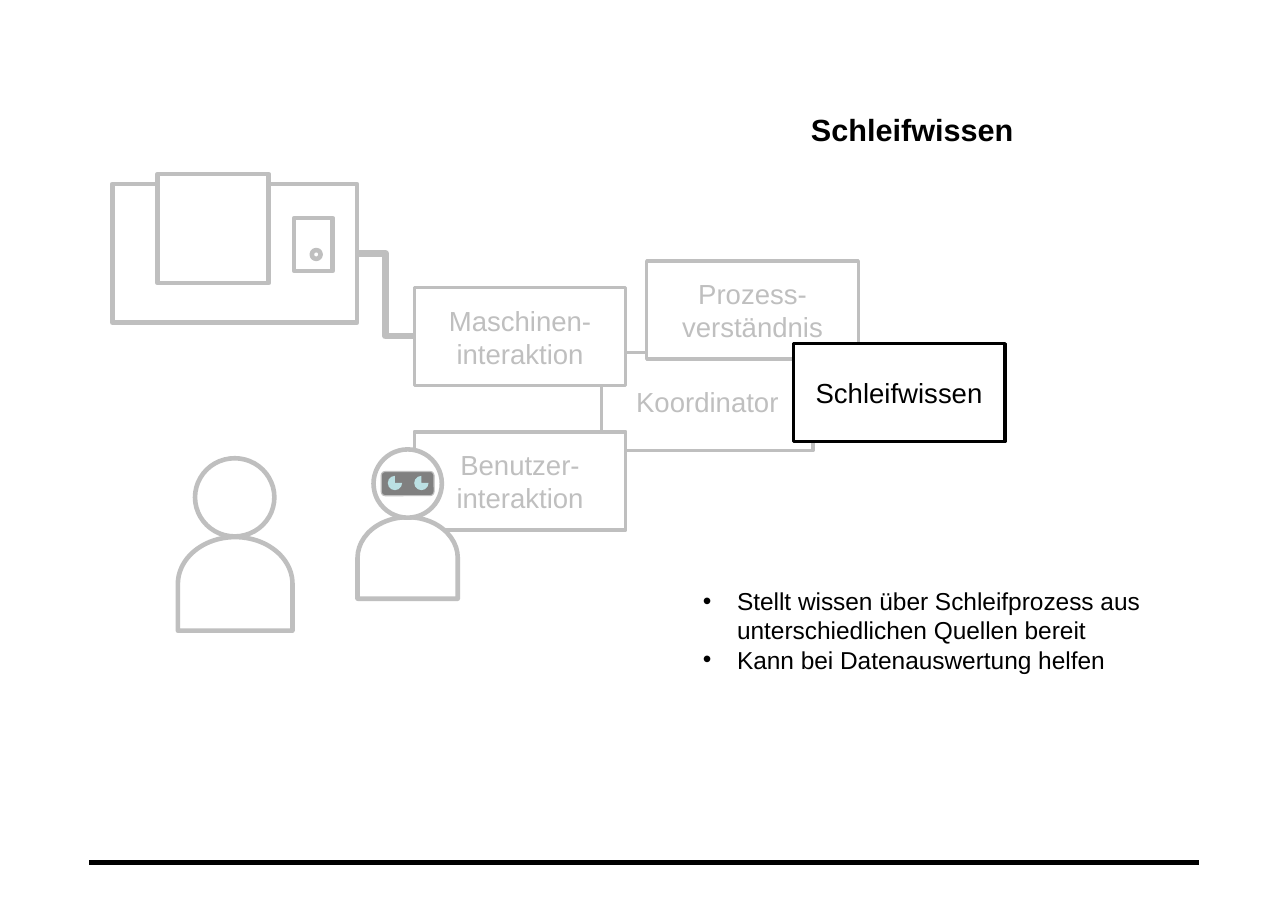
"""Build the slide on grinding knowledge within the assistant architecture."""
from pptx import Presentation
from pptx.dml.color import RGBColor
from pptx.enum.shapes import MSO_CONNECTOR, MSO_SHAPE
from pptx.enum.text import MSO_ANCHOR, MSO_AUTO_SIZE, PP_ALIGN
from pptx.oxml.ns import qn
from pptx.util import Emu, Pt
from lxml.etree import SubElement

PX = 9144
BLACK = RGBColor(0x00, 0x00, 0x00)
WHITE = RGBColor(0xFF, 0xFF, 0xFF)
GREY = RGBColor(0xBF, 0xBF, 0xBF)
VISOR_GREY = RGBColor(0x80, 0x80, 0x80)
EYE_BLUE = RGBColor(0xBB, 0xE0, 0xE3)
FONT = "Arial"

SLIDE_SIZE = (1169, 827)
TITLE = "Schleifwissen"
TITLE_AREA = (736, 101, 352, 50)
BULLETS = [
    "Stellt wissen über Schleifprozess aus unterschiedlichen Quellen bereit",
    "Kann bei Datenauswertung helfen",
]
BULLETS_AREA = (628, 527, 461, 91)
BULLET_INDENT = 31

FOOTER_LINE = (81, 783, 1088, 783)
MACHINE_CABLE = (324, 230, 376, 305)
MACHINE = [
    (MSO_SHAPE.RECTANGLE, (102, 167, 222, 126)),
    (MSO_SHAPE.RECTANGLE, (143, 158, 101, 99)),
    (MSO_SHAPE.RECTANGLE, (267, 198, 35, 48)),
    (MSO_SHAPE.OVAL, (283, 227, 8, 8)),
]
USER = {"body": (171, 478, 85, 104), "head": (177, 416, 72, 71)}
ROBOT = {"body": (333, 461, 74, 91), "head": (339, 408, 62, 62)}
ROBOT_VISOR = (346, 428, 48, 22)
ROBOT_EYES = [(376, 432, 13, 13), (352, 432, 13, 13)]

MODULE_SIZE = (192, 89)
REAR_MODULES = [
    ("Koordinator", (546, 320), GREY),
    ("Benutzer-interaktion", (376, 392), GREY),
    ("Prozess-verständnis", (587, 237), GREY),
    ("Schleifwissen", (720, 312), BLACK),
]
FRONT_MODULES = [("Maschinen-interaktion", (376, 261), GREY)]


def to_emu(values):
    return [Emu(value * PX) for value in values]


def format_paragraph(paragraph, size, color, alignment, bold=False):
    paragraph.alignment = alignment
    paragraph.space_before = Pt(0)
    for run in paragraph.runs:
        run.font.name = FONT
        run.font.size = Pt(size)
        run.font.bold = bold
        run.font.color.rgb = color


def add_outline(slide, kind, area, fill=WHITE, line=GREY, width=3):
    shape = slide.shapes.add_shape(kind, *to_emu(area))
    shape.shadow.inherit = False
    shape.fill.solid()
    shape.fill.fore_color.rgb = fill
    if line is None:
        shape.line.fill.background()
    else:
        shape.line.color.rgb = line
        shape.line.width = Pt(width)
    return shape


def add_line(slide, kind, ends, color, width):
    connector = slide.shapes.add_connector(kind, *to_emu(ends))
    connector.line.color.rgb = color
    connector.line.width = Pt(width)
    SubElement(connector._element.spPr, qn("a:effectLst"))


def add_figure(slide, body, head):
    add_outline(slide, MSO_SHAPE.FLOWCHART_DELAY, body).rotation = 270
    add_outline(slide, MSO_SHAPE.FLOWCHART_CONNECTOR, head)


def add_modules(slide, modules):
    for label, corner, color in modules:
        shape = add_outline(slide, MSO_SHAPE.RECTANGLE, corner + MODULE_SIZE, line=color, width=2.25)
        text_frame = shape.text_frame
        text_frame.word_wrap = True
        text_frame.vertical_anchor = MSO_ANCHOR.MIDDLE
        text_frame.text = label
        format_paragraph(text_frame.paragraphs[0], 18, color, PP_ALIGN.CENTER)


def place_placeholder(placeholder, area):
    placeholder.left, placeholder.top, placeholder.width, placeholder.height = to_emu(area)
    text_frame = placeholder.text_frame
    text_frame.auto_size = MSO_AUTO_SIZE.NONE
    text_frame.word_wrap = True
    text_frame.vertical_anchor = MSO_ANCHOR.TOP
    return text_frame


def fill_title(slide):
    text_frame = place_placeholder(slide.shapes.title, TITLE_AREA)
    text_frame.margin_left = text_frame.margin_right = 0
    text_frame.margin_top = text_frame.margin_bottom = 0
    text_frame.text = TITLE
    format_paragraph(text_frame.paragraphs[0], 20, BLACK, PP_ALIGN.LEFT, bold=True)


def fill_bullets(slide):
    text_frame = place_placeholder(slide.placeholders[1], BULLETS_AREA)
    text_frame.text = "\n".join(BULLETS)
    for paragraph in text_frame.paragraphs:
        properties = paragraph._p.get_or_add_pPr()
        properties.set("marL", str(BULLET_INDENT * PX))
        properties.set("indent", str(-BULLET_INDENT * PX))
        format_paragraph(paragraph, 16, BLACK, PP_ALIGN.LEFT)


def main():
    presentation = Presentation()
    presentation.slide_width, presentation.slide_height = to_emu(SLIDE_SIZE)
    slide = presentation.slides.add_slide(presentation.slide_layouts[1])
    fill_title(slide)
    fill_bullets(slide)
    add_line(slide, MSO_CONNECTOR.STRAIGHT, FOOTER_LINE, BLACK, 3)
    add_line(slide, MSO_CONNECTOR.ELBOW, MACHINE_CABLE, GREY, 4.5)
    for kind, area in MACHINE:
        add_outline(slide, kind, area)
    add_figure(slide, **USER)
    add_modules(slide, REAR_MODULES)
    add_figure(slide, **ROBOT)
    add_outline(slide, MSO_SHAPE.ROUNDED_RECTANGLE, ROBOT_VISOR, VISOR_GREY, width=0.75)
    for area in ROBOT_EYES:
        add_outline(slide, MSO_SHAPE.PIE, area, EYE_BLUE, None)
    add_modules(slide, FRONT_MODULES)
    presentation.save("out.pptx")


if __name__ == "__main__":
    main()
